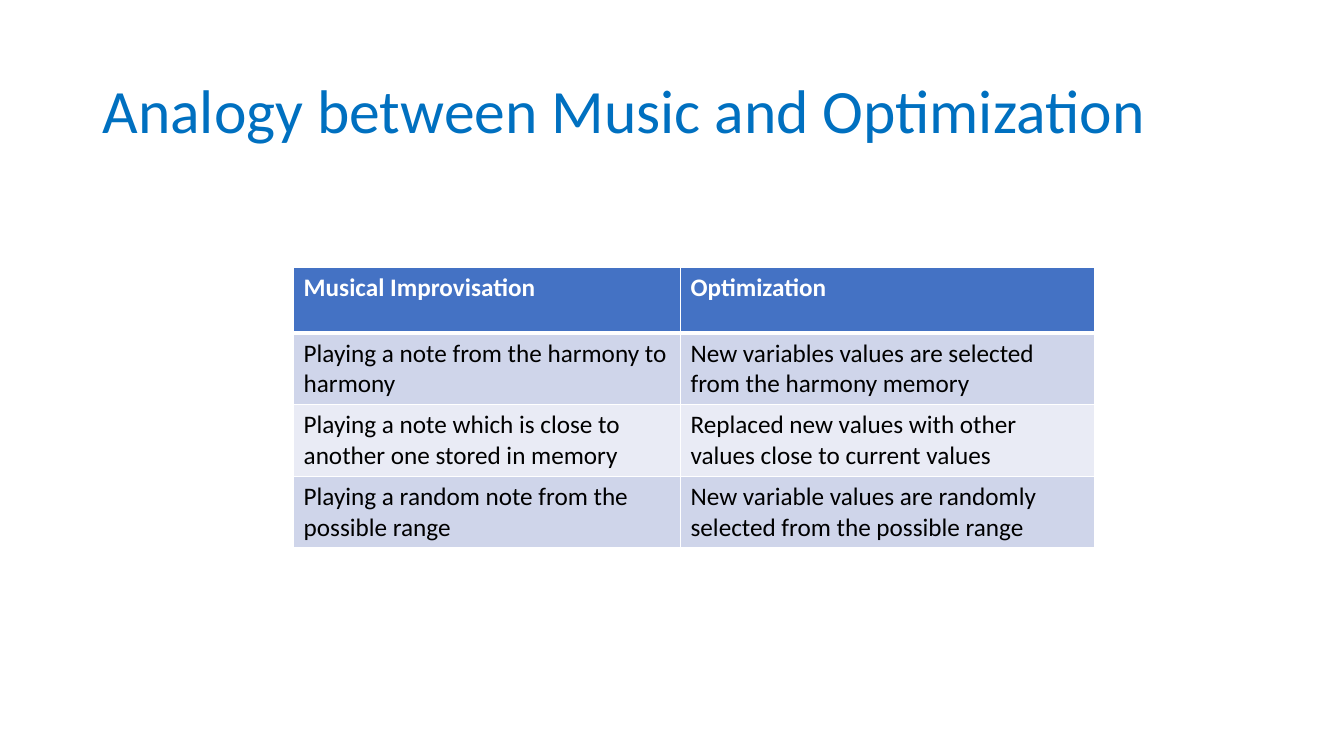
import pptx
import pptx.util
import pptx.dml.color
import pptx.enum.text
import pptx.oxml.ns
import lxml.etree

Cm = pptx.util.Cm
RGB = pptx.dml.color.RGBColor
BLUE = RGB(0x00, 0x70, 0xC0)
HEAD = RGB(0x44, 0x72, 0xC4)
BANDS = [RGB(0xE9, 0xEB, 0xF5), RGB(0xCF, 0xD5, 0xEA)]
WHITE = RGB(0xFF, 0xFF, 0xFF)
BLACK = RGB(0x00, 0x00, 0x00)

TITLE = "Analogy between Music and Optimization"
ROWS = [
    ("Musical Improvisation", "Optimization"),
    ("Playing a note from the harmony to harmony",
     "New variables values are selected from the harmony memory"),
    ("Playing a note which is close to another one stored in memory",
     "Replaced new values with other values close to current values"),
    ("Playing a random note from the possible range",
     "New variable values are randomly selected from the possible range"),
]
WIDTHS = [9.75, 10.44]
HIGH = 1.65


def write(frame, text, size=18, color=BLACK, bold=False, space=1.0):
    para = frame.paragraphs[0]
    para.alignment = pptx.enum.text.PP_ALIGN.LEFT
    para.line_spacing = space
    run = para.add_run()
    run.text = text
    run.font.name = "Calibri"
    run.font.size = pptx.util.Pt(size)
    run.font.bold = bold
    run.font.color.rgb = color


def edge(cell, **sides):
    qn = pptx.oxml.ns.qn
    props = cell._tc.get_or_add_tcPr()
    for place, (side, width) in enumerate(sides.items()):
        line = lxml.etree.Element(qn("a:ln" + side), w=str(pptx.util.Pt(width)))
        fill = lxml.etree.SubElement(line, qn("a:solidFill"))
        lxml.etree.SubElement(fill, qn("a:srgbClr"), val=str(WHITE))
        props.insert(place, line)


def main():
    deck = pptx.Presentation()
    deck.slide_width, deck.slide_height = Cm(33.87), Cm(19.05)
    slide = deck.slides.add_slide(deck.slide_layouts[5])

    title = slide.shapes.title
    title.left, title.top = Cm(2.33), Cm(1.01)
    title.width, title.height = Cm(29.21), Cm(3.68)
    title.text_frame.vertical_anchor = pptx.enum.text.MSO_ANCHOR.MIDDLE
    write(title.text_frame, TITLE, size=44, color=BLUE, space=0.9)

    table = slide.shapes.add_table(
        len(ROWS), len(WIDTHS), Cm(7.4), Cm(6.74),
        Cm(sum(WIDTHS)), Cm(HIGH * len(ROWS))).table
    for col, width in zip(table.columns, WIDTHS):
        col.width = Cm(width)
    for r, row in enumerate(ROWS):
        table.rows[r].height = Cm(HIGH)
        first = r == 0
        for c, text in enumerate(row):
            cell = table.cell(r, c)
            cell.fill.solid()
            cell.fill.fore_color.rgb = HEAD if first else BANDS[r % 2]
            edge(cell, L=1, R=1, T=3 if r == 1 else 1, B=3 if first else 1)
            write(cell.text_frame, text, bold=first,
                  color=WHITE if first else BLACK)

    deck.save("out.pptx")


if __name__ == "__main__":
    main()
